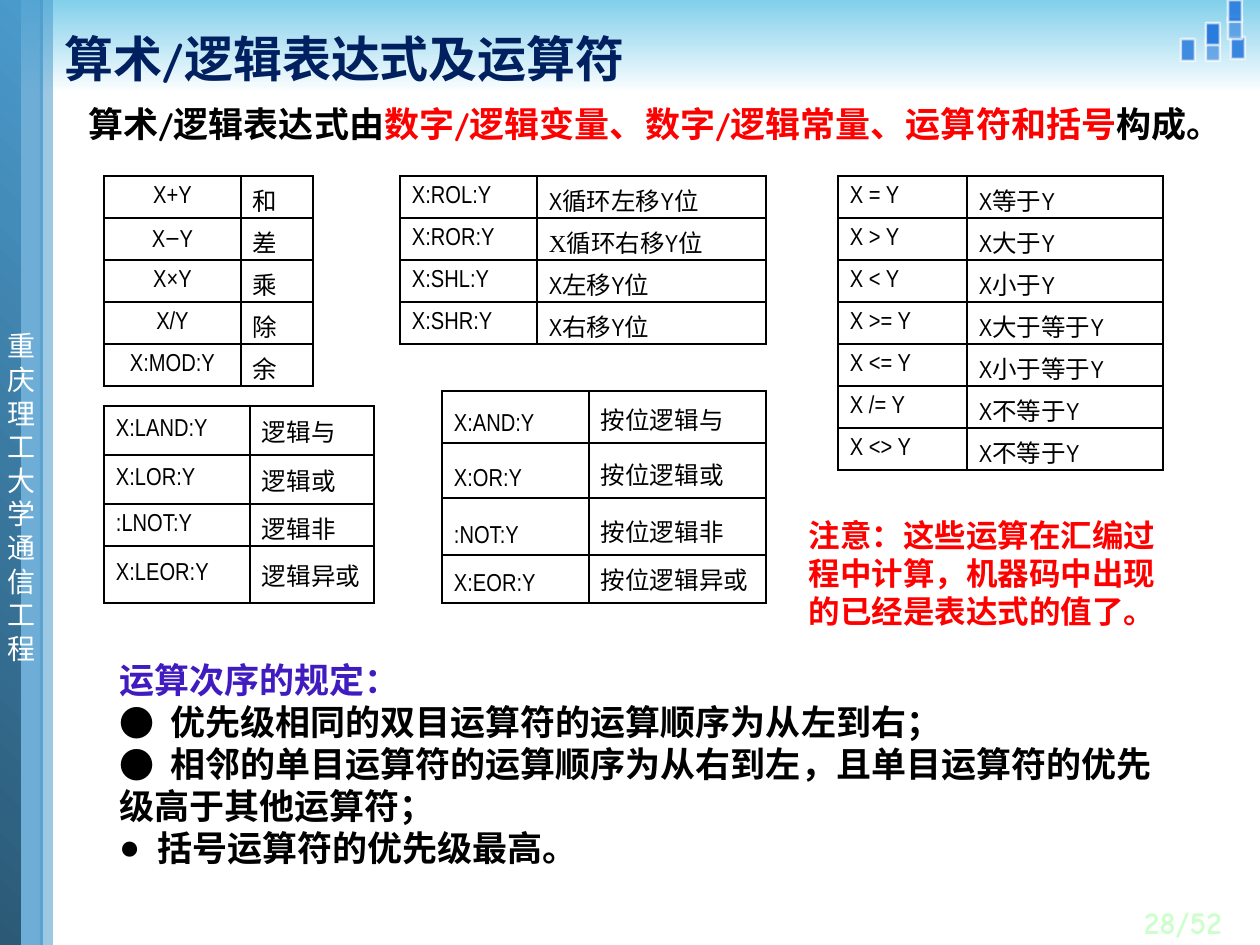
import dataclasses
import itertools
import pptx
import pptx.dml.color
import pptx.enum.shapes
import pptx.enum.text
import pptx.oxml
import pptx.oxml.ns
import pptx.util

SCALE = 914400 / 126
CJK = "Noto Sans CJK JP"
COMIC = "Comic Neue"
NARROW = "Arial Narrow"
TIMES = "Times New Roman"
NS = pptx.oxml.ns.nsdecls("a")
ALIGN = pptx.enum.text.PP_ALIGN
ANCHOR = pptx.enum.text.MSO_ANCHOR


@dataclasses.dataclass
class Block:
    left: int
    top: int
    wide: int
    high: int
    fill: str
    alpha: int = 100
    end: str = ""
    angle: int = 0
    edge: bool = False


@dataclasses.dataclass
class Grid:
    left: int
    top: int
    cols: tuple
    rows: tuple
    cells: tuple
    anchor: int = ANCHOR.MIDDLE
    align: int = ALIGN.LEFT


def px(size: int) -> int:
    return round(size * SCALE)


def rgb(code: str):
    return pptx.dml.color.RGBColor.from_string(code)


def put(item, values: dict) -> None:
    for name, value in values.items():
        setattr(item, name, value)


def place(shape, left: int, top: int, wide: int, high: int) -> None:
    put(shape, dict(left=px(left), top=px(top), width=px(wide), height=px(high)))


def node(text: str):
    return pptx.oxml.parse_xml(text)


def fade(owner, alpha: int) -> None:
    for color in owner.iter(pptx.oxml.ns.qn("a:srgbClr")):
        color.append(node(f'<a:alpha {NS} val="{alpha * 1000}"/>'))


def write(para, text: str, size: int, face: str, code: str, bold: bool = True) -> None:
    run = para.add_run()
    run.text = text
    put(run.font, dict(size=pptx.util.Pt(size), name=face, bold=bold))
    run.font.color.rgb = rgb(code)
    run._r.get_or_add_rPr().append(node(f'<a:ea {NS} typeface="{CJK}"/>'))


def frame(shape, margin: int = 0, anchor: int = ANCHOR.TOP):
    text = shape.text_frame
    put(text, dict(
        word_wrap=True, auto_size=pptx.enum.text.MSO_AUTO_SIZE.NONE,
        vertical_anchor=anchor, margin_left=px(margin), margin_right=px(margin),
        margin_top=px(margin // 2), margin_bottom=px(margin // 2)))
    return text


def label(slide, spot: tuple, parts: list, size: int, face: str,
          bold: bool = True, **style) -> None:
    box = slide.shapes.add_textbox(0, 0, 0, 0)
    place(box, *spot)
    para = frame(box).paragraphs[0]
    put(para, style)
    for text, code in parts:
        write(para, text, size, face, code, bold)


def block(slide, item: Block) -> None:
    shape = slide.shapes.add_shape(pptx.enum.shapes.MSO_SHAPE.RECTANGLE, 0, 0, 0, 0)
    place(shape, item.left, item.top, item.wide, item.high)
    shape.shadow.inherit = False
    if item.end:
        shape.fill.gradient()
        shape.fill.gradient_angle = item.angle
        for stop, code in zip(shape.fill.gradient_stops, (item.fill, item.end)):
            stop.color.rgb = rgb(code)
    else:
        shape.fill.solid()
        shape.fill.fore_color.rgb = rgb(item.fill)
        fade(shape.element, item.alpha)
    if item.edge:
        shape.line.width = pptx.util.Pt(1.5)
        shape.line.color.rgb = rgb("FFFFFF")
        fade(shape.line._ln, 70)
    else:
        shape.line.fill.background()


def border(cell) -> None:
    props = cell._tc.get_or_add_tcPr()
    for spot, side in enumerate("LRTB"):
        props.insert(spot, node(
            f'<a:ln{side} {NS} w="12700"><a:solidFill><a:srgbClr val="000000"/>'
            f'</a:solidFill></a:ln{side}>'))


def face(char: str) -> str:
    if char == "−":
        return "Arial"
    return NARROW if ord(char) < 256 else TIMES


def grid(slide, item: Grid):
    table = slide.shapes.add_table(
        len(item.rows), 2, px(item.left), px(item.top),
        px(sum(item.cols)), px(sum(item.rows))).table
    put(table, dict(first_row=False, horz_banding=False))
    for col, wide in zip(table.columns, item.cols):
        col.width = px(wide)
    for row, high, texts in zip(table.rows, item.rows, item.cells):
        row.height = px(high)
        for spot, (cell, text) in enumerate(zip(row.cells, texts)):
            foot = min(6, high - 42) if spot else 6
            put(cell, dict(vertical_anchor=item.anchor, margin_left=px(12),
                           margin_right=px(0 if spot else 12),
                           margin_top=px(6), margin_bottom=px(foot)))
            cell.fill.background()
            border(cell)
            para = cell.text_frame.paragraphs[0]
            para.alignment = ALIGN.LEFT if spot else item.align
            for name, chars in itertools.groupby(text, face):
                write(para, "".join(chars), 14, name, "000000", False)
    return table


def rules(body) -> None:
    lines = (
        ("运算次序的规定：", "401BC0", "", 0),
        ("优先级相同的双目运算符的运算顺序为从左到右；", "000000", CJK, 51),
        ("相邻的单目运算符的运算顺序为从右到左，且单目运算符的优先级高于其他运算符；",
         "000000", CJK, 51),
        ("括号运算符的优先级最高。", "000000", "Arial", 38))
    text = frame(body, 12)
    for spot, (words, code, mark, gap) in enumerate(lines):
        para = text.add_paragraph() if spot else text.paragraphs[0]
        put(para, dict(line_spacing=pptx.util.Pt(24), space_before=pptx.util.Pt(0)))
        props = para._p.get_or_add_pPr()
        put_in = dict(marL="0", indent="0")
        for name, value in put_in.items():
            props.set(name, value)
        if mark:
            props.append(node(f'<a:buFont {NS} typeface="{mark}"/>'))
            props.append(node(f'<a:buChar {NS} char="●"/>'))
            props.append(node(
                f'<a:tabLst {NS}><a:tab pos="{px(gap)}" algn="l"/></a:tabLst>'))
            words = "\t" + words
        else:
            props.append(node(f'<a:buNone {NS}/>'))
        write(para, words, 20, CJK, code)


def main() -> None:
    deck = pptx.Presentation()
    put(deck, dict(slide_width=px(1260), slide_height=px(945)))
    slide = deck.slides.add_slide(deck.slide_layouts[1])
    title, body = slide.placeholders

    block(slide, Block(0, 0, 1260, 94, "81CFEB", end="FFFFFF", angle=270))
    for left, top, alpha in ((1231, 37, 90), (1206, 39, 60), (1181, 39, 85),
                             (1206, 23, 100), (1228, 17, 60), (1228, 0, 90)):
        block(slide, Block(left, top, 14, 22, "297CDD", alpha, edge=True))
    block(slide, Block(14, 0, 29, 945, "4A9ACC", 80))
    block(slide, Block(0, 0, 21, 945, "2B5976", end="4A9ACC", angle=45))
    block(slide, Block(40, 0, 13, 945, "4A9ACC", 54))
    label(slide, (0, 329, 42, 342), [("重庆理工大学通信工程", "FFFFFF")], 16, "Arial",
          False, alignment=ALIGN.CENTER, line_spacing=pptx.util.Pt(19.2))

    for holder, spot in ((title, (53, 0, 1134, 115)), (body, (107, 652, 1091, 229))):
        place(holder, *spot)
        holder.element.getparent().append(holder.element)
    para = frame(title, 12, ANCHOR.MIDDLE).paragraphs[0]
    para.alignment = ALIGN.LEFT
    write(para, "算术/逻辑表达式及运算符", 28, COMIC, "002060")
    rules(body)
    label(slide, (50, 103, 1210, 50), [
        ("算术/逻辑表达式由", "000000"),
        ("数字/逻辑变量、数字/逻辑常量、运算符和括号", "FF0000"),
        ("构成。", "000000")], 20, COMIC, alignment=ALIGN.CENTER)

    grid(slide, Grid(104, 176, (137, 72), (42,) * 5, (
        ("X+Y", "和"), ("X−Y", "差"), ("X×Y", "乘"), ("X/Y", "除"),
        ("X:MOD:Y", "余")), align=ALIGN.CENTER))
    shift = grid(slide, Grid(400, 176, (137, 229), (42,) * 4, (
        ("X:ROL:Y", "X循环左移Y位"), ("X:ROR:Y", "X循环右移Y位"),
        ("X:SHL:Y", "X左移Y位"), ("X:SHR:Y", "X右移Y位"))))
    shift.cell(1, 1).text_frame.paragraphs[0].runs[0].font.name = TIMES
    grid(slide, Grid(442, 391, (147, 177), (52, 55, 57, 48), (
        ("X:AND:Y", "按位逻辑与"), ("X:OR:Y", "按位逻辑或"),
        (":NOT:Y", "按位逻辑非"), ("X:EOR:Y", "按位逻辑异或")), ANCHOR.BOTTOM))
    signs = (("=", "等于"), (">", "大于"), ("<", "小于"), (">=", "大于等于"),
             ("<=", "小于等于"), ("/=", "不等于"), ("<>", "不等于"))
    grid(slide, Grid(838, 176, (129, 196), (42,) * 7, tuple(
        (f"X {sign} Y", f"X{word}Y") for sign, word in signs)))
    grid(slide, Grid(104, 406, (146, 124), (49, 49, 42, 57), (
        ("X:LAND:Y", "逻辑与"), ("X:LOR:Y", "逻辑或"),
        (":LNOT:Y", "逻辑非"), ("X:LEOR:Y", "逻辑异或"))))

    label(slide, (809, 516, 355, 120), [
        ("注意：这些运算在汇编过程中计算，机器码中出现的已经是表达式的值了。", "FF0000")],
        18, COMIC, line_spacing=pptx.util.Pt(21.6))
    label(slide, (1122, 903, 100, 40), [("28/52", "CCFFCC")], 18, COMIC,
          alignment=ALIGN.RIGHT)
    deck.save("out.pptx")


if __name__ == "__main__":
    main()
